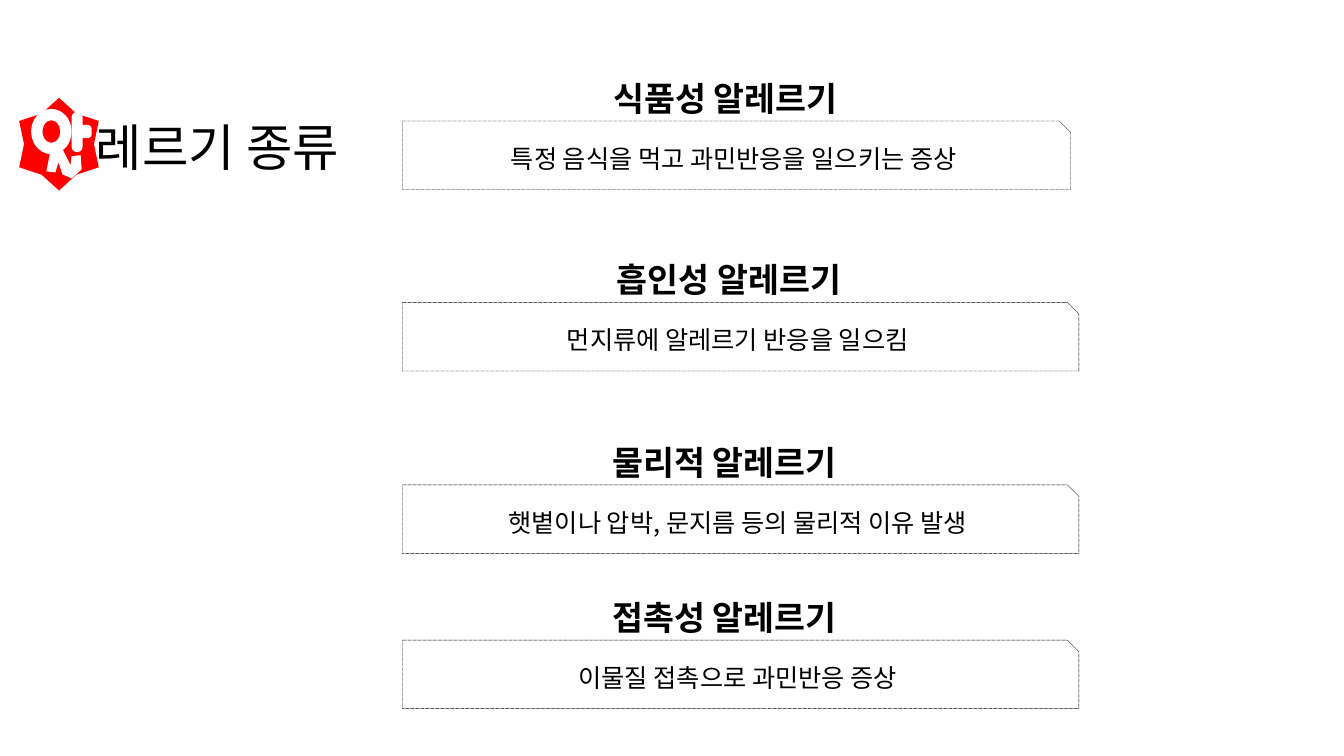
from pptx import Presentation
from pptx.dml.color import RGBColor
from pptx.enum.dml import MSO_LINE
from pptx.enum.shapes import MSO_SHAPE
from pptx.enum.text import MSO_ANCHOR, MSO_AUTO_SIZE, PP_ALIGN
from pptx.oxml.ns import qn
from pptx.util import Inches, Pt
from lxml.etree import SubElement

COLORS = {"text": "000000", "emblem": "FF0000", "letter": "FFFFFF"}
FONT = "Noto Sans CJK KR"
TITLE = "레르기 종류"
HEADING_HEIGHT, BODY_HEIGHT, BODY_LEFT = 0.5, 0.68, 3.99

ALLERGIES = [
    {"heading": "식품성 알레르기", "body": "특정 음식을 먹고 과민반응을 일으키는 증상",
     "top": 1.2, "width": 6.63, "heading_left": 4.49, "heading_width": 5.45},
    {"heading": "흡인성 알레르기", "body": "먼지류에 알레르기 반응을 일으킴",
     "top": 3.0, "width": 6.71, "heading_left": 4.49, "heading_width": 5.52},
    {"heading": "물리적 알레르기", "body": "햇볕이나 압박, 문지름 등의 물리적 이유 발생",
     "top": 4.81, "width": 6.71, "heading_left": 4.4, "heading_width": 5.61},
    {"heading": "접촉성 알레르기", "body": "이물질 접촉으로 과민반응 증상",
     "top": 6.35, "width": 6.71, "heading_left": 4.4, "heading_width": 5.61},
]

EMBLEM_PARTS = [
    (MSO_SHAPE.STAR_6_POINT, "emblem", 0.38, (0.19, 0.97, 0.79, 0.92)),
    (MSO_SHAPE.DONUT, "letter", 0.28, (0.31, 1.08, 0.4, 0.45)),
    (MSO_SHAPE.ROUNDED_RECTANGLE, "letter", 0.5, (0.71, 1.11, 0.11, 0.4)),
    (MSO_SHAPE.ROUNDED_RECTANGLE, "letter", 0.3, (0.75, 1.24, 0.16, 0.13)),
]
LETTER_BASE = [(46, 170), (50, 150), (62, 148), (70, 164), (71, 155), (80, 154),
               (81, 168), (71, 177), (62, 173), (58, 161), (55, 171)]


def paint(shape, color):
    shape.shadow.inherit = False
    shape.fill.solid()
    shape.fill.fore_color.rgb = RGBColor.from_string(COLORS[color])
    shape.line.fill.background()


def write(shape, text, size, bold=False, align=PP_ALIGN.CENTER, spacing=1.0):
    frame = shape.text_frame
    frame.word_wrap = True
    frame.auto_size = MSO_AUTO_SIZE.NONE
    frame.vertical_anchor = MSO_ANCHOR.MIDDLE
    para = frame.paragraphs[0]
    para.alignment = align
    para.line_spacing = spacing
    span = para.add_run()
    span.text = text
    span.font.name = FONT
    span.font.size = Pt(size)
    span.font.bold = bold
    span.font.color.rgb = RGBColor.from_string(COLORS["text"])
    SubElement(span.font._element, qn("a:ea")).set("typeface", FONT)


def add_box(page, left, top, width, height, text, size, bold=False, outlined=False):
    box = page.shapes.add_shape(MSO_SHAPE.SNIP_1_RECTANGLE, Inches(left), Inches(top),
                                Inches(width), Inches(height))
    box.shadow.inherit = False
    box.fill.background()
    if outlined:
        box.line.color.rgb = RGBColor.from_string(COLORS["text"])
        box.line.width = Pt(0.25)
        box.line.dash_style = MSO_LINE.ROUND_DOT
    else:
        box.line.fill.background()
    write(box, text, size, bold)


def add_emblem(page):
    for kind, color, adjustment, place in EMBLEM_PARTS:
        part = page.shapes.add_shape(kind, *map(Inches, place))
        part.adjustments[0] = adjustment
        paint(part, color)
    builder = page.shapes.build_freeform(*LETTER_BASE[0], scale=Inches(0.01))
    builder.add_line_segments(LETTER_BASE[1:], close=True)
    paint(builder.convert_to_shape(), "letter")


def main():
    deck = Presentation()
    deck.slide_width, deck.slide_height = Inches(13.33), Inches(7.5)
    page = deck.slides.add_slide(deck.slide_layouts[5])
    title = page.shapes.title
    title.left, title.top = Inches(0.85), Inches(1.2)
    title.width, title.height = Inches(3.28), Inches(0.59)
    write(title, TITLE, 36, align=PP_ALIGN.LEFT, spacing=0.9)
    add_emblem(page)
    for item in ALLERGIES:
        add_box(page, BODY_LEFT, item["top"], item["width"], BODY_HEIGHT,
                item["body"], 18, outlined=True)
        add_box(page, item["heading_left"], item["top"] - HEADING_HEIGHT,
                item["heading_width"], HEADING_HEIGHT, item["heading"], 24, bold=True)
    deck.save("out.pptx")


if __name__ == "__main__":
    main()
